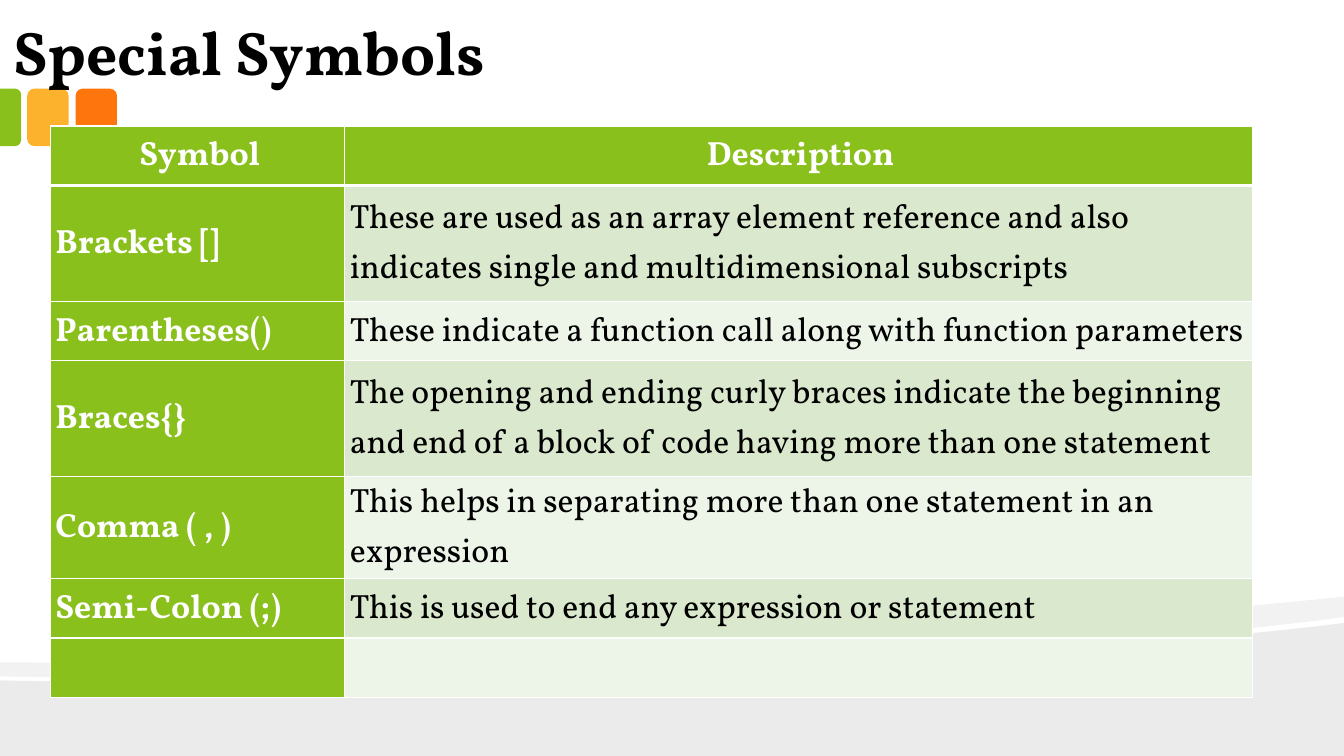
"""Build the Special Symbols slide: a title and a table over a curved footer and tabs."""
from lxml.etree import SubElement
from pptx import Presentation
from pptx.dml.color import RGBColor
from pptx.enum.shapes import MSO_SHAPE
from pptx.enum.text import MSO_ANCHOR, PP_ALIGN
from pptx.oxml.ns import qn
from pptx.util import Pt

PX = 9144
FONT = "Vollkorn"
BLACK = RGBColor(0x00, 0x00, 0x00)
WHITE = RGBColor(0xFF, 0xFF, 0xFF)
GREEN = RGBColor(0x89, 0xC0, 0x1C)
AMBER = RGBColor(0xFC, 0xB2, 0x2C)
ORANGE = RGBColor(0xFE, 0x75, 0x0E)
ROW_TINTS = [RGBColor(0xED, 0xF4, 0xE8), RGBColor(0xDA, 0xE8, 0xCD)]


def style_text(para, text, **format_values):
    """Add a span of text with the given font values."""
    span = para.add_run()
    span.text = text
    color = format_values.pop("color")
    for name, value in {"name": FONT, **format_values}.items():
        setattr(span.font, name, value)
    span.font.color.rgb = color


deck = Presentation()
deck.slide_width, deck.slide_height = 1333 * PX, 750 * PX
page = deck.slides.add_slide(deck.slide_layouts[6])

footer = [
    [(1333, 750)],
    [(0, 750)],
    [(0, 675)],
    [(352, 683), (1042, 655), (1333, 618)],
]
ribbon = [
    [(1333, 612)],
    [(1255, 623), (1149, 633), (1029, 641)],
    [(698, 663), (258, 677), (0, 671)],
    [(0, 657)],
    [(652, 662), (971, 627), (1333, 592)],
]
ribbon_base = [(1, 751), (1333, 751)]
for segments, base, opacity in ((footer, [], 8), (ribbon, ribbon_base, 5)):
    builder = page.shapes.build_freeform(*segments[-1][-1], scale=PX)
    builder.add_line_segments([point for segment in segments for point in segment], close=True)
    if base:
        builder.move_to(*base[0])
        builder.add_line_segments(base[1:], close=True)
    wave = builder.convert_to_shape()
    wave.shadow.inherit = False
    wave.fill.solid()
    wave.fill.fore_color.rgb = BLACK
    wave.line.fill.background()
    color_node = wave.element.spPr.find(qn("a:solidFill")).find(qn("a:srgbClr"))
    SubElement(color_node, qn("a:alpha"), val=str(opacity * 1000))
    line_nodes = wave.element.spPr.iter(qn("a:lnTo"))
    line_nodes = list(line_nodes)
    for segment in segments:
        nodes, line_nodes = line_nodes[:len(segment)], line_nodes[len(segment):]
        if len(segment) == 3:
            outline = nodes[0].getparent()
            bend = SubElement(outline, qn("a:cubicBezTo"))
            nodes[0].addprevious(bend)
            for node in nodes:
                bend.append(node[0])
                outline.remove(node)

tabs = [
    (MSO_SHAPE.ROUNDED_RECTANGLE, 75, 88, 41, 57, 0, ORANGE),
    (MSO_SHAPE.ROUNDED_RECTANGLE, 27, 88, 41, 57, 0, AMBER),
    (MSO_SHAPE.ROUND_2_SAME_RECTANGLE, -18, 106, 57, 21, 90, GREEN),
]
for kind, left, top, width, height, rotation, color in tabs:
    tab = page.shapes.add_shape(kind, left * PX, top * PX, width * PX, height * PX)
    tab.rotation = rotation
    tab.adjustments[0] = 0.29 if rotation else 0.17
    tab.shadow.inherit = False
    tab.fill.solid()
    tab.fill.fore_color.rgb = color
    tab.line.fill.background()

title = page.shapes.add_textbox(0, 1 * PX, 1026 * PX, 93 * PX)
frame_values = {
    "word_wrap": True,
    "vertical_anchor": MSO_ANCHOR.BOTTOM,
    "margin_left": 13 * PX,
    "margin_right": 13 * PX,
    "margin_top": 7 * PX,
    "margin_bottom": 7 * PX,
}
for name, value in frame_values.items():
    setattr(title.text_frame, name, value)
style_text(title.text_frame.paragraphs[0], "Special Symbols", size=Pt(44), bold=True, color=BLACK)

rows = [
    ("Symbol", "Description", 59),
    ("Brackets []", "These are used as an array element reference and also indicates "
     "single and multidimensional subscripts", 115),
    ("Parentheses()", "These indicate a function call along with function parameters", 59),
    ("Braces{}", "The opening and ending curly braces indicate the beginning and end of "
     "a block of code having more than one statement", 115),
    ("Comma ( , )", "This helps in separating more than one statement in an expression", 101),
    ("Semi-Colon (;)", "This is used to end any expression or statement", 59),
    ("", "", 59),
]
table_height = sum(height for *_, height in rows)
table = page.shapes.add_table(len(rows), 2, 50 * PX, 125 * PX, 1192 * PX, table_height * PX).table
for column, width in zip(table.columns, (292, 900)):
    column.width = width * PX

cell_values = {
    "vertical_anchor": MSO_ANCHOR.MIDDLE,
    "margin_left": 5 * PX,
    "margin_right": 1 * PX,
    "margin_top": 1 * PX,
    "margin_bottom": 1 * PX,
}
for row_index, (*texts, height) in enumerate(rows):
    table.rows[row_index].height = height * PX
    for column_index, text in enumerate(texts):
        cell = table.cell(row_index, column_index)
        is_heading = row_index == 0 or column_index == 0
        for name, value in cell_values.items():
            setattr(cell, name, value)
        for side in ("lnL", "lnR", "lnT", "lnB"):
            is_thick = (row_index, side) in ((0, "lnB"), (1, "lnT"))
            border = SubElement(cell._tc.get_or_add_tcPr(), qn(f"a:{side}"), w=str(Pt(3 if is_thick else 1)))
            border_fill = SubElement(border, qn("a:solidFill"))
            SubElement(border_fill, qn("a:srgbClr"), val=str(WHITE))
        cell.fill.solid()
        cell.fill.fore_color.rgb = GREEN if is_heading else ROW_TINTS[row_index % 2]
        if text:
            para = cell.text_frame.paragraphs[0]
            para.alignment = PP_ALIGN.LEFT if row_index else PP_ALIGN.CENTER
            para.line_spacing = 1.07
            para.space_after = Pt(8)
            style_text(para, text, size=Pt(24), bold=is_heading, color=WHITE if is_heading else BLACK)

deck.save("out.pptx")
